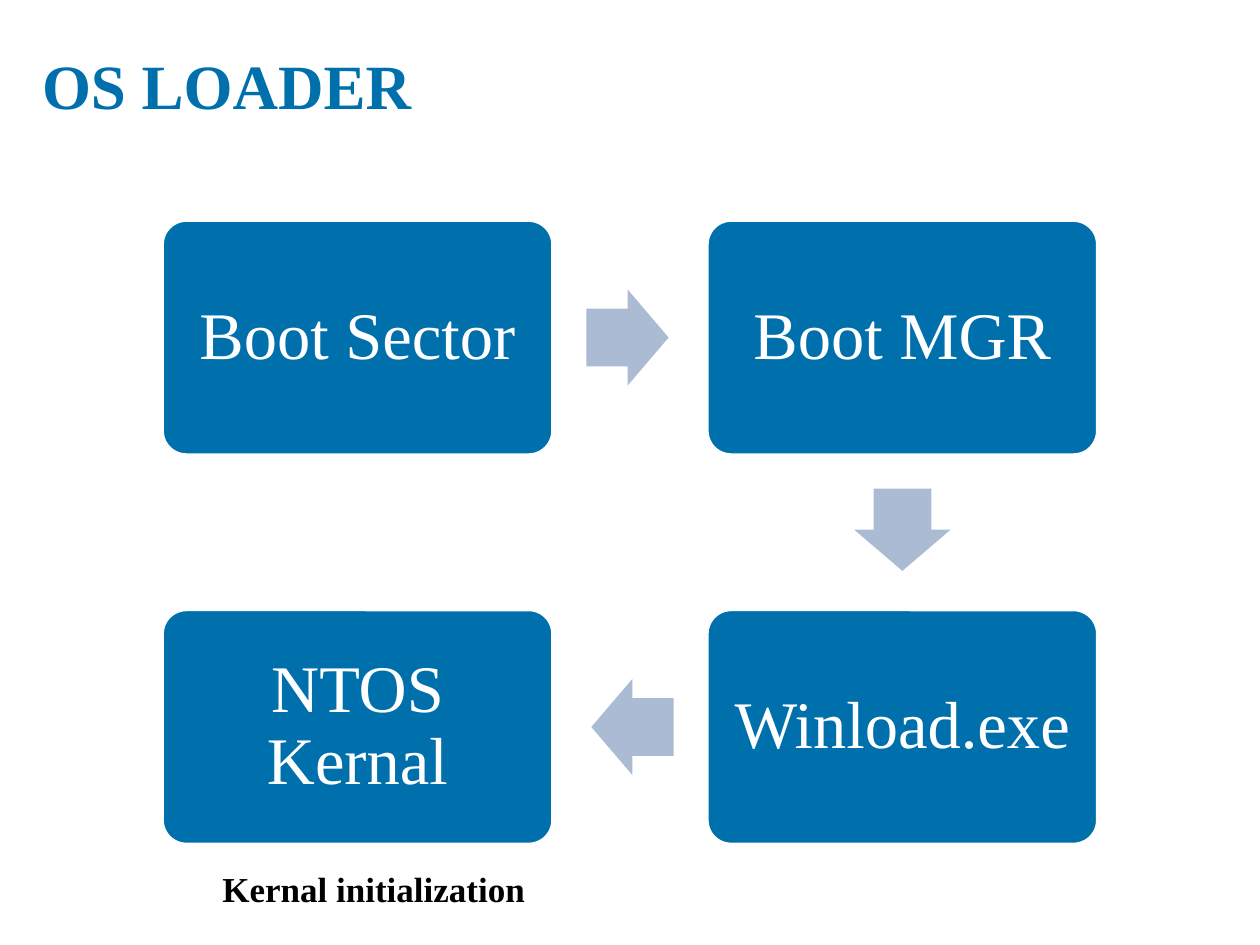
from pptx import Presentation
from pptx.dml.color import RGBColor
from pptx.enum.shapes import MSO_SHAPE
from pptx.enum.text import MSO_ANCHOR, MSO_AUTO_SIZE, PP_ALIGN
from pptx.util import Pt


def rgb(value):
    return RGBColor.from_string(value)


class Deck:
    FONT = "Times New Roman"
    BLUE, ARROW, WHITE, BLACK = "0070AD", "ABBBD3", "FFFFFF", "000000"

    def __init__(self, prs):
        self.s = prs.slides.add_slide(prs.slide_layouts[5])

    def style(self, tf, text, size, color, bold=False, inset=None, spacing=None,
              align=PP_ALIGN.LEFT, anchor=MSO_ANCHOR.TOP):
        tf.text = text
        tf.word_wrap = True
        tf.vertical_anchor = anchor
        if inset is not None:
            tf.margin_left = tf.margin_right = Pt(inset)
            tf.margin_top = tf.margin_bottom = Pt(inset)
        p = tf.paragraphs[0]
        p.alignment = align
        if spacing:
            p.line_spacing = spacing
        font = p.runs[0].font
        font.name, font.size, font.bold = self.FONT, Pt(size), bold
        font.color.rgb = rgb(color)

    def title(self, text, x, y, w, h):
        sp = self.s.shapes.title
        sp.left, sp.top, sp.width, sp.height = Pt(x), Pt(y), Pt(w), Pt(h)
        sp.text_frame.auto_size = MSO_AUTO_SIZE.NONE
        self.style(sp.text_frame, text, 36, self.BLUE, bold=True, inset=0, spacing=0.9)

    def shape(self, kind, x, y, w, h, fill, adjustments):
        sp = self.s.shapes.add_shape(kind, Pt(x), Pt(y), Pt(w), Pt(h))
        sp.shadow.inherit = False
        sp.fill.solid()
        sp.fill.fore_color.rgb = rgb(fill)
        for i, value in enumerate(adjustments):
            sp.adjustments[i] = value
        return sp

    def step(self, text, x, y, w, h):
        sp = self.shape(MSO_SHAPE.ROUNDED_RECTANGLE, x, y, w, h, self.BLUE, [0.1])
        sp.line.color.rgb = rgb(self.WHITE)
        sp.line.width = Pt(1)
        self.style(sp.text_frame, text, 38, self.WHITE, inset=11, spacing=0.9,
                   align=PP_ALIGN.CENTER, anchor=MSO_ANCHOR.MIDDLE)

    def arrow(self, cx, cy, rotation):
        w, h = 47, 55
        sp = self.shape(MSO_SHAPE.RIGHT_ARROW, cx - w / 2, cy - h / 2, w, h,
                        self.ARROW, [0.6, 0.5])
        sp.line.fill.background()
        sp.rotation = rotation

    def caption(self, text, x, y, w, h):
        sp = self.s.shapes.add_textbox(Pt(x), Pt(y), Pt(w), Pt(h))
        self.style(sp.text_frame, text, 20, self.BLACK, bold=True)


def main():
    prs = Presentation()
    prs.slide_width, prs.slide_height = Pt(720), Pt(540)
    deck = Deck(prs)
    deck.title("OS LOADER", 24, 31.7, 651, 68)

    # Boot steps, clockwise on a two by two grid
    left, top, w, h = 93.2, 126.3, 222.3, 133.2
    col_step, row_step = 311.3, 222.5
    steps = [("Boot Sector", 0, 0), ("Boot MGR", 1, 0),
             ("Winload.exe", 1, 1), ("NTOS Kernal", 0, 1)]
    for text, col, row in steps:
        deck.step(text, left + col * col_step, top + row * row_step, w, h)

    # Arrows between the steps, each set back slightly towards its source
    setback = 1.4
    mid_x = left + (w + col_step) / 2
    mid_y = top + (h + row_step) / 2
    deck.arrow(mid_x - setback, top + h / 2, 0)
    deck.arrow(left + col_step + w / 2, mid_y - setback, 90)
    deck.arrow(mid_x + setback, top + row_step + h / 2, 180)

    # Note under the last step
    deck.caption("Kernal initialization", 120, 492, 192, 32)
    prs.save("out.pptx")


if __name__ == "__main__":
    main()
